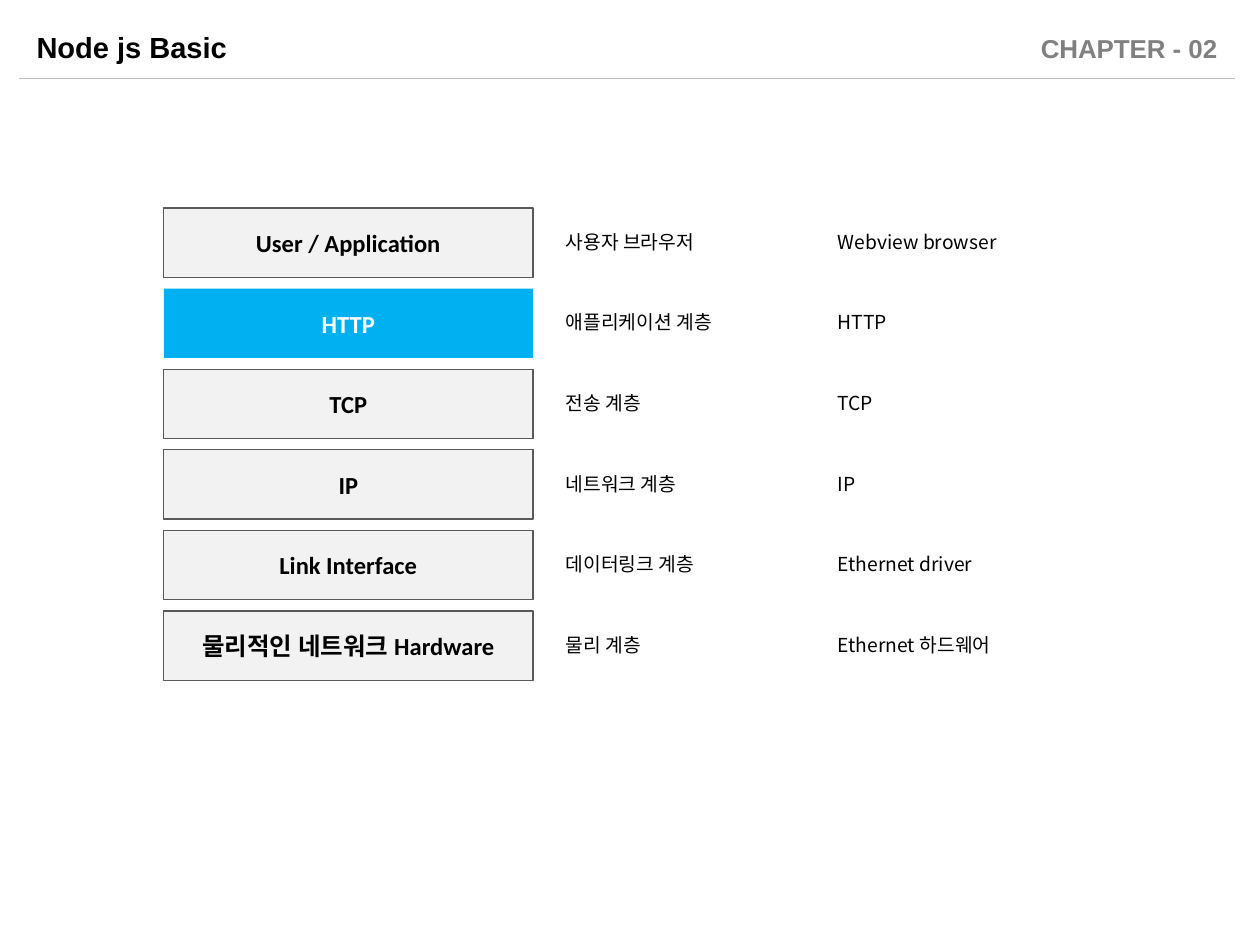
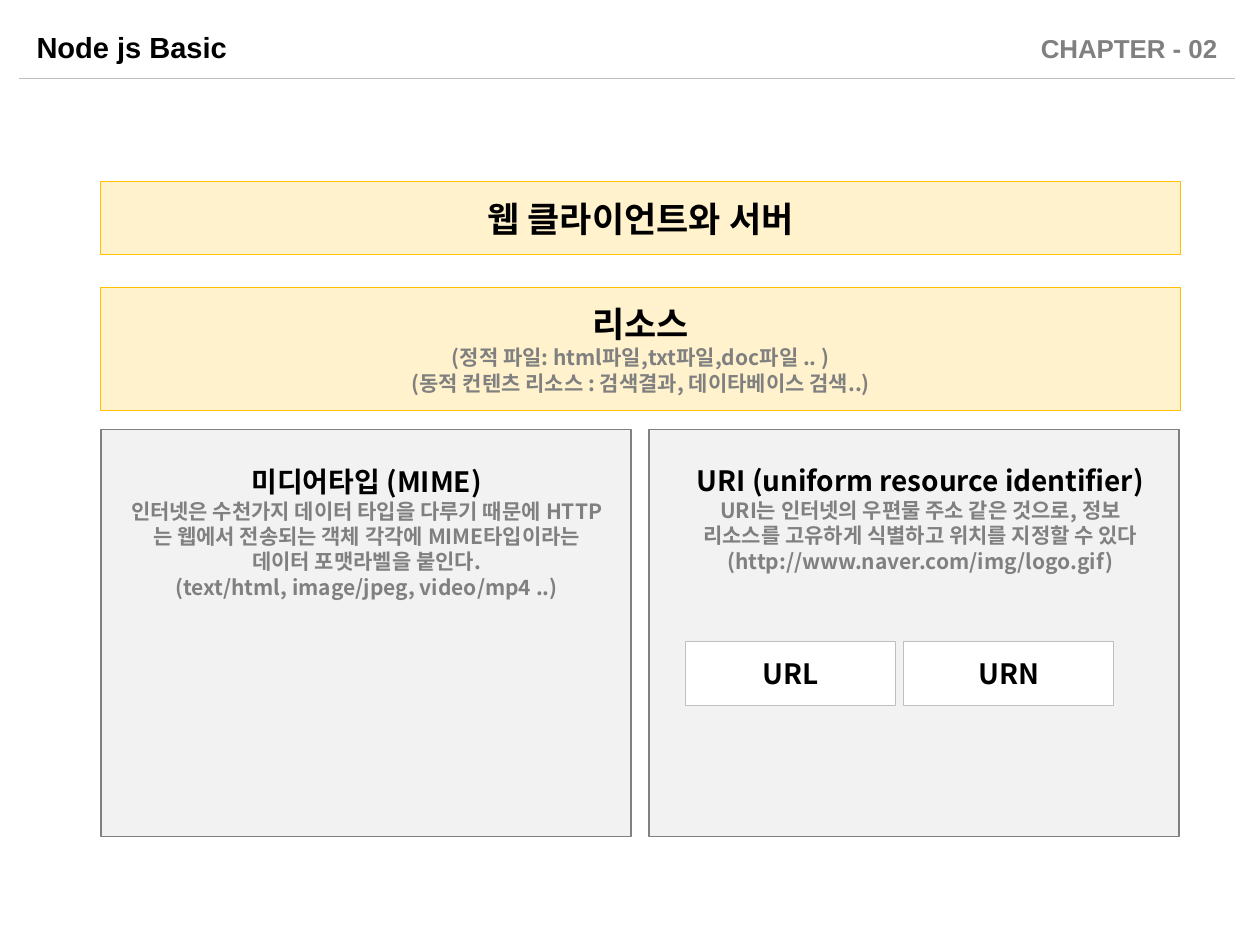
from pptx import Presentation
from pptx.dml.color import RGBColor
from pptx.enum import shapes, text
from pptx.oxml.ns import qn
from pptx.util import Inches, Pt
from lxml import etree

BLACK = RGBColor(0x00, 0x00, 0x00)
WHITE = RGBColor(0xFF, 0xFF, 0xFF)
GRAY = RGBColor(0x80, 0x80, 0x80)
SILVER = RGBColor(0xBF, 0xBF, 0xBF)
DARK = RGBColor(0x59, 0x59, 0x59)
PALE = RGBColor(0xF2, 0xF2, 0xF2)
BLUE = RGBColor(0x00, 0xB0, 0xF0)
CREAM = RGBColor(0xFF, 0xF2, 0xCC)
GOLD = RGBColor(0xFF, 0xC0, 0x00)

HEAD = "Arial"
LABEL = "Calibri"
BODY = "Noto Sans CJK KR"
LEADING = 1.21

LEFT = text.PP_ALIGN.LEFT
CENTER = text.PP_ALIGN.CENTER
RIGHT = text.PP_ALIGN.RIGHT

LAYERS = [
    ("User / Application", "사용자 브라우저", "Webview browser"),
    ("HTTP", "애플리케이션 계층", "HTTP"),
    ("TCP", "전송 계층", "TCP"),
    ("IP", "네트워크 계층", "IP"),
    ("Link Interface", "데이터링크 계층", "Ethernet driver"),
    ("물리적인 네트워크 Hardware", "물리 계층", "Ethernet 하드웨어"),
]


def style(para, size, color=BLACK, bold=True, font=BODY, align=CENTER):
    para.alignment = align
    para.line_spacing = Pt(round(size * LEADING, 1))
    para.space_before = para.space_after = Pt(0)
    for run in para.runs:
        run.font.size = Pt(size)
        run.font.bold = bold
        run.font.name = font
        run.font.color.rgb = color
        east = etree.SubElement(run._r.get_or_add_rPr(), qn("a:ea"))
        east.set("typeface", BODY)


def fit(shape, pad_x=0.1, pad_y=0.12, anchor=text.MSO_ANCHOR.MIDDLE):
    """Wrap the text of a shape, pad it and anchor it."""
    frame = shape.text_frame
    frame.word_wrap = True
    frame.auto_size = text.MSO_AUTO_SIZE.NONE
    frame.margin_left = frame.margin_right = Inches(pad_x)
    frame.margin_top = frame.margin_bottom = Inches(pad_y)
    frame.vertical_anchor = anchor
    return frame


def add_box(slide, area, fill, line=None, width=0.75):
    box = slide.shapes.add_shape(
        shapes.MSO_SHAPE.RECTANGLE, *map(Inches, area))
    box.shadow.inherit = False
    box.fill.solid()
    box.fill.fore_color.rgb = fill
    if line is None:
        box.line.fill.background()
    else:
        box.line.color.rgb = line
        box.line.width = Pt(width)
    return box


def add_note(slide, area, words, size, **look):
    """Add one line of free text."""
    note = slide.shapes.add_textbox(*map(Inches, area))
    frame = fit(note, pad_y=0.03)
    frame.text = words
    style(frame.paragraphs[0], size, **look)


def write(shape, title, size, details=()):
    """Set a bold title with smaller gray lines below it."""
    frame = fit(shape)
    frame.text = "\n".join([title, *details])
    first, *rest = frame.paragraphs
    style(first, size)
    for para in rest:
        style(para, 12, color=GRAY)


def add_page(deck):
    """Add a slide with the shared title, chapter mark and rule."""
    slide = deck.slides.add_slide(deck.slide_layouts[5])
    title = slide.shapes.title
    title.left, title.top = Inches(0.19), Inches(0.18)
    title.width, title.height = Inches(5.08), Inches(0.38)
    frame = fit(title, pad_y=0.05)
    frame.text = "Node js Basic"
    style(frame.paragraphs[0], 16.6, font=HEAD, align=LEFT)
    add_note(slide, (7.75, 0.21, 2.01, 0.35), "CHAPTER - 02", 14.8,
             color=GRAY, font=HEAD, align=RIGHT)
    rule = slide.shapes.add_connector(
        shapes.MSO_CONNECTOR.STRAIGHT,
        Inches(0.15), Inches(0.62), Inches(9.8), Inches(0.62))
    rule.line.color.rgb = SILVER
    rule.line.width = Pt(0.5)
    etree.SubElement(rule._element.spPr, qn("a:effectLst"))
    return slide


def add_layer(slide, top, label, layer, sample):
    active = label == "HTTP"
    box = add_box(slide, (1.3, top, 2.93, 0.55),
                  BLUE if active else PALE, None if active else DARK)
    frame = fit(box, pad_x=0.12, pad_y=0.1)
    frame.text = label
    style(frame.paragraphs[0], 14, WHITE if active else BLACK, font=LABEL)
    for left, words in ((4.39, layer), (6.55, sample)):
        add_note(slide, (left, top + 0.12, 2.17, 0.29), words, 11,
                 bold=False, align=LEFT)


def draw_stack(deck):
    slide = add_page(deck)
    for row, layer in enumerate(LAYERS):
        add_layer(slide, 1.65 + 0.64 * row, *layer)


def draw_web(deck):
    slide = add_page(deck)
    for left in (0.8, 5.15):
        add_box(slide, (left, 3.41, 4.21, 3.23), PALE, GRAY, 1)

    client = add_box(slide, (0.8, 1.44, 8.57, 0.58), CREAM, GOLD)
    write(client, "웹 클라이언트와 서버", 20)
    source = add_box(slide, (0.8, 2.28, 8.57, 0.98), CREAM, GOLD)
    write(source, "리소스", 20, [
        "(정적 파일: html파일,txt파일,doc파일 .. )",
        "(동적 컨텐츠 리소스 : 검색결과, 데이타베이스 검색..)"])

    mime = slide.shapes.add_textbox(
        Inches(0.94), Inches(3.56), Inches(3.94), Inches(1.32))
    write(mime, "미디어타입 (MIME)", 16, [
        "인터넷은 수천가지 데이터 타입을 다루기 때문에 HTTP는 웹에서 "
        "전송되는 객체 각각에 MIME타입이라는 데이터 포맷라벨을 붙인다.",
        "(text/html, image/jpeg, video/mp4 ..)"])
    uri = slide.shapes.add_textbox(
        Inches(5.36), Inches(3.56), Inches(3.89), Inches(1.11))
    write(uri, "URI (uniform resource identifier)", 16, [
        "URI는 인터넷의 우편물 주소 같은 것으로, 정보 리소스를 "
        "고유하게 식별하고 위치를 지정할 수 있다",
        "(http://www.naver.com/img/logo.gif)"])

    for col, name in enumerate(("URL", "URN")):
        kind = add_box(slide, (5.44 + 1.73 * col, 5.09, 1.67, 0.51),
                       WHITE, SILVER)
        write(kind, name, 16)


def main():
    deck = Presentation()
    deck.slide_width, deck.slide_height = Inches(10), Inches(7.5)
    draw_stack(deck)
    draw_web(deck)
    deck.save("out.pptx")


if __name__ == "__main__":
    main()
